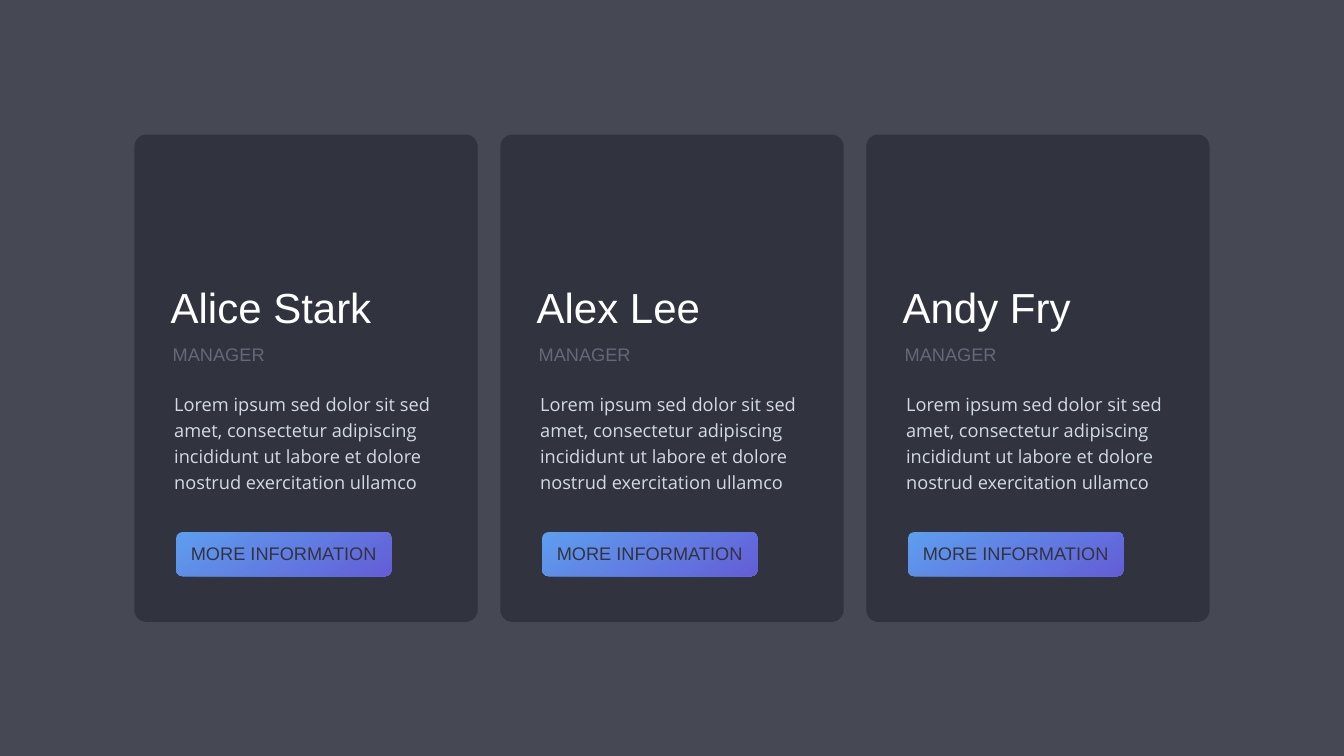
"""Build a slide with three staff cards, each with a name, role, bio and button."""
from dataclasses import dataclass

from pptx import Presentation
from pptx.dml.color import RGBColor
from pptx.enum.shapes import MSO_SHAPE
from pptx.enum.text import MSO_ANCHOR, MSO_AUTO_SIZE, PP_ALIGN
from pptx.util import Inches, Pt

ROUND = MSO_SHAPE.ROUNDED_RECTANGLE
TOP, MIDDLE = MSO_ANCHOR.TOP, MSO_ANCHOR.MIDDLE
LEFT, CENTER = PP_ALIGN.LEFT, PP_ALIGN.CENTER
GROW = MSO_AUTO_SIZE.SHAPE_TO_FIT_TEXT

BACK = RGBColor(0x46, 0x48, 0x53)
DARK = RGBColor(0x31, 0x33, 0x3F)
WHITE = RGBColor(0xFF, 0xFF, 0xFF)
PALE = RGBColor(0xD2, 0xDB, 0xE4)
GRAY = RGBColor(0x64, 0x68, 0x79)
BLUE = RGBColor(0x5E, 0x9E, 0xEE)
VIOLET = RGBColor(0x63, 0x5E, 0xD6)

WIDTH, HEIGHT = 26.67, 15
MARGIN, GAP, COLS = WIDTH / 10, 0.45, 3
CARD = (WIDTH - 2 * MARGIN - (COLS - 1) * GAP) / COLS
PITCH = CARD + GAP
PAD = Inches(0.06)

NAMES = ("Alice Stark", "Alex Lee", "Andy Fry")
BIO = ("Lorem ipsum sed dolor sit sed amet, consectetur adipiscing "
       "incididunt ut labore et dolore nostrud exercitation ullamco")


@dataclass(frozen=True)
class Box:
    """A place in inches, with x counted from the left edge of its card."""
    x: float
    y: float
    w: float
    h: float

    def place(self, col: int) -> list[int]:
        """Give left, top, width and height on the slide for one column."""
        left = MARGIN + col * PITCH + self.x
        return [Inches(v) for v in (left, self.y, self.w, self.h)]


@dataclass(frozen=True)
class Style:
    """The look of one kind of text."""
    size: int
    color: RGBColor
    face: str = "Arial"
    align: int = LEFT
    anchor: int = MIDDLE
    lead: float = 1.0


PANEL = Box(0, 2.67, CARD, 9.67)
BUTTON = Box(0.83, 10.56, 4.27, 0.87)
NAME = Box(0.66, 5.53, 5.15, 1.1), Style(60, WHITE)
ROLE = Box(0.7, 6.76, 4.19, 0.53), Style(26, GRAY)
TEXT = Box(0.73, 7.65, 5.45, 2.41), Style(26, PALE, "Open Sans", anchor=TOP, lead=1.2)
LABEL = Box(0.87, 10.71, 4.19, 0.53), Style(26, DARK, align=CENTER)


def format_all(item: object, values: dict[str, object]) -> None:
    """Set each named attribute of an item."""
    for key, value in values.items():
        setattr(item, key, value)


def add_panel(slide, col: int, box: Box, bend: float, colors: tuple[RGBColor, ...]) -> None:
    """Draw a rounded panel with one colour or a slanted blend of two."""
    shape = slide.shapes.add_shape(ROUND, *box.place(col))
    shape.adjustments[0] = bend
    shape.shadow.inherit = False
    shape.line.fill.background()
    if len(colors) == 1:
        shape.fill.solid()
        shape.fill.fore_color.rgb = colors[0]
        return
    shape.fill.gradient()
    shape.fill.gradient_angle = 360 - 57
    for stop, color in zip(shape.fill.gradient_stops, colors):
        stop.color.rgb = color


def add_text(slide, col: int, words: str, box: Box, style: Style) -> None:
    """Write one paragraph in a box."""
    frame = slide.shapes.add_textbox(*box.place(col)).text_frame
    format_all(frame, {
        "word_wrap": True, "auto_size": GROW, "vertical_anchor": style.anchor,
        "margin_left": PAD, "margin_right": PAD, "margin_top": PAD, "margin_bottom": PAD})
    para = frame.paragraphs[0]
    format_all(para, {"alignment": style.align, "line_spacing": style.lead})
    run = para.add_run()
    run.text = words
    format_all(run.font, {"size": Pt(style.size), "name": style.face})
    run.font.color.rgb = style.color


def add_card(slide, col: int, name: str) -> None:
    """Draw one staff card in its column."""
    add_panel(slide, col, PANEL, 0.035, (DARK,))
    add_text(slide, col, name, *NAME)
    add_text(slide, col, BIO, *TEXT)
    add_text(slide, col, "MANAGER", *ROLE)
    add_panel(slide, col, BUTTON, 0.132, (BLUE, VIOLET))
    add_text(slide, col, "MORE INFORMATION", *LABEL)


def main() -> None:
    """Build and save the slide."""
    deck = Presentation()
    format_all(deck, {"slide_width": Inches(WIDTH), "slide_height": Inches(HEIGHT)})
    slide = deck.slides.add_slide(deck.slide_layouts[6])
    slide.background.fill.solid()
    slide.background.fill.fore_color.rgb = BACK
    for col, name in enumerate(NAMES):
        add_card(slide, col, name)
    deck.save("out.pptx")


if __name__ == "__main__":
    main()
